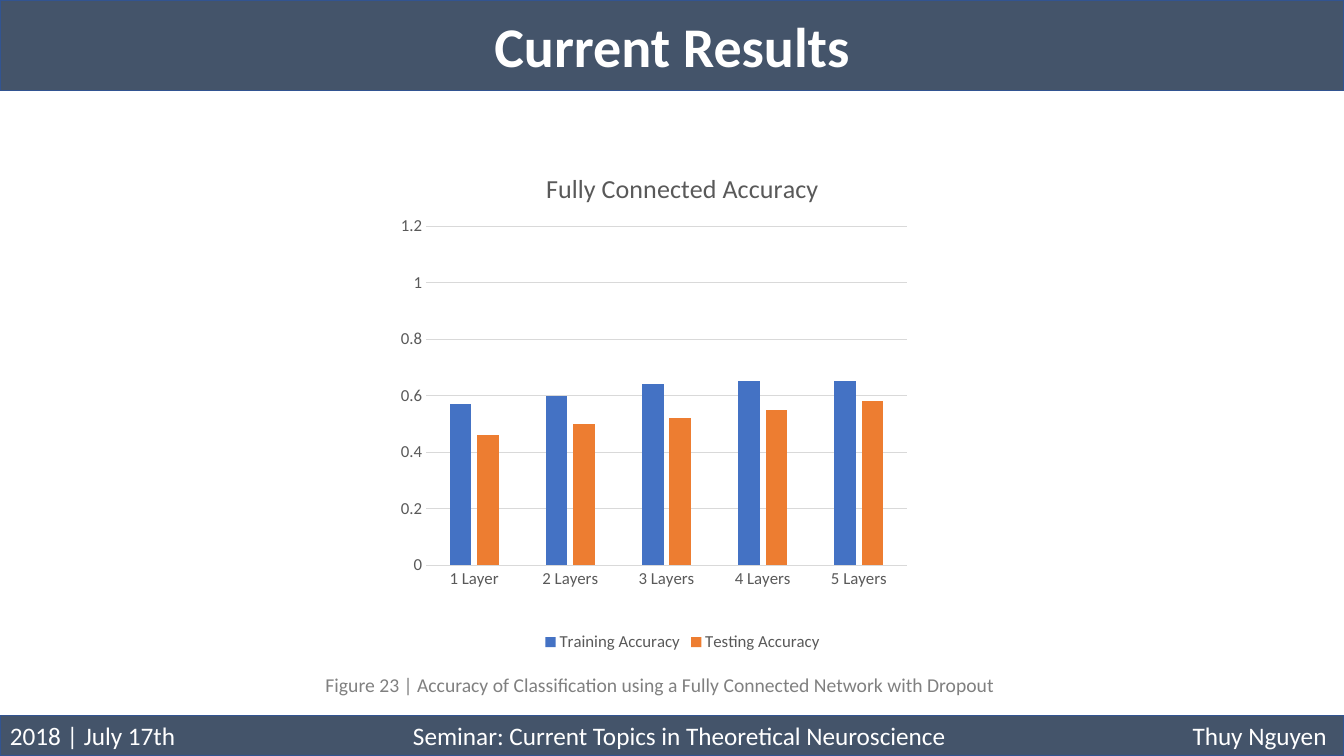
from lxml import etree
from pptx import Presentation
from pptx.chart.data import CategoryChartData
from pptx.dml.color import RGBColor
from pptx.enum.chart import XL_CHART_TYPE, XL_LEGEND_POSITION, XL_TICK_MARK
from pptx.enum.shapes import MSO_SHAPE
from pptx.enum.text import MSO_ANCHOR, PP_ALIGN
from pptx.oxml import parse_xml
from pptx.oxml.ns import nsdecls, qn
from pptx.util import Inches, Pt

COLORS = {
    "slate": "44546A", "edge": "325491", "white": "FFFFFF", "gray": "808080",
    "label": "595959", "grid": "D9D9D9", "blue": "4472C4", "orange": "ED7D31",
}


class Deck:
    """Hold the style and the current slide, and draw each kind of element."""

    def __init__(self, face):
        self.face = face
        self.prs = Presentation()
        self.prs.slide_width = Inches(13.33)
        self.prs.slide_height = Inches(7.5)
        self.slide = self.prs.slides.add_slide(self.prs.slide_layouts[6])

    def color(self, name):
        return RGBColor.from_string(COLORS[name])

    def style(self, font, size, color, bold=False):
        font.name, font.size, font.bold = self.face, Pt(size), bold
        font.color.rgb = self.color(color)

    def band(self, box):
        shape = self.slide.shapes.add_shape(MSO_SHAPE.RECTANGLE, *map(Inches, box))
        shape.shadow.inherit = False
        shape.fill.solid()
        shape.fill.fore_color.rgb = self.color("slate")
        shape.line.color.rgb = self.color("edge")
        shape.line.width = Pt(1)
        return shape

    def title(self, box, text):
        frame = self.band(box).text_frame
        frame.vertical_anchor = MSO_ANCHOR.MIDDLE
        para = frame.paragraphs[0]
        para.text, para.alignment = text, PP_ALIGN.CENTER
        self.style(para.font, 40, "white", True)

    def text(self, box, text, size, color, tabs=()):
        frame = self.slide.shapes.add_textbox(*map(Inches, box)).text_frame
        frame.word_wrap = True
        para = frame.paragraphs[0]
        para.text = text
        if tabs:
            stops = etree.SubElement(para._p.get_or_add_pPr(), qn("a:tabLst"))
            for pos, align in tabs:
                stop = etree.SubElement(stops, qn("a:tab"))
                stop.set("pos", str(Inches(pos)))
                stop.set("algn", align)
        self.style(para.font, size, color)

    def axis(self, axis):
        axis.major_tick_mark = axis.minor_tick_mark = XL_TICK_MARK.NONE
        self.style(axis.tick_labels.font, 12, "label")

    def line(self, line):
        line.color.rgb = self.color("grid")
        line.width = Pt(0.75)

    def chart(self, box, title, cats, series, plot_box):
        data = CategoryChartData()
        data.categories = cats
        for name, vals, _ in series:
            data.add_series(name, vals)
        chart = self.slide.shapes.add_chart(
            XL_CHART_TYPE.COLUMN_CLUSTERED, *map(Inches, box), data).chart
        self.style(chart.font, 10, "label")

        chart.has_title = True
        para = chart.chart_title.text_frame.paragraphs[0]
        para.text = title
        self.style(para.font, 18.6, "label")
        chart.chart_title.include_in_layout = False

        chart.has_legend = True
        chart.legend.position = XL_LEGEND_POSITION.BOTTOM
        chart.legend.include_in_layout = False
        self.style(chart.legend.font, 12, "label")

        self.axis(chart.category_axis)
        self.line(chart.category_axis.format.line)
        axis = chart.value_axis
        self.axis(axis)
        axis.minimum_scale, axis.maximum_scale, axis.major_unit = 0, 1.2, 0.2
        axis.format.line.fill.background()
        self.line(axis.major_gridlines.format.line)

        plot = chart.plots[0]
        plot.gap_width, plot.overlap, plot.vary_by_categories = 219, -27, False
        for item, (_, _, color) in zip(plot.series, series):
            item.format.fill.solid()
            item.format.fill.fore_color.rgb = self.color(color)
        self.place(chart, plot_box)

    def place(self, chart, box):
        area = chart._chartSpace.find(".//" + qn("c:plotArea"))
        for old in area.findall(qn("c:layout")):
            area.remove(old)
        sizes = "".join(f'<c:{key} val="{val}"/>' for key, val in zip("xywh", box))
        area.insert(0, parse_xml(
            f'<c:layout {nsdecls("c")}><c:manualLayout>'
            '<c:layoutTarget val="inner"/><c:xMode val="edge"/><c:yMode val="edge"/>'
            f'{sizes}</c:manualLayout></c:layout>'))


def main():
    deck = Deck("Calibri")
    foot = (0, 7.1, 13.33, 0.4)
    deck.band(foot)
    deck.text(
        foot,
        "2018 | July 17th\tSeminar: Current Topics in Theoretical Neuroscience\tThuy Nguyen",
        18, "white", [(6.64, "ctr"), (13.06, "r")])
    deck.title((0, 0, 13.33, 0.9), "Current Results")
    deck.chart(
        (3.59, 1.49, 6.36, 5.02), "Fully Connected Accuracy",
        ["1 Layer", "2 Layers", "3 Layers", "4 Layers", "5 Layers"],
        [("Training Accuracy", (0.57, 0.6, 0.64, 0.65, 0.65), "blue"),
         ("Testing Accuracy", (0.46, 0.5, 0.52, 0.55, 0.58), "orange")],
        (0.1, 0.15, 0.75, 0.67))
    deck.text(
        (3.13, 6.63, 7.3, 0.34),
        "Figure 23 | Accuracy of Classification using a Fully Connected Network with Dropout",
        14, "gray")
    deck.prs.save("out.pptx")


if __name__ == "__main__":
    main()
